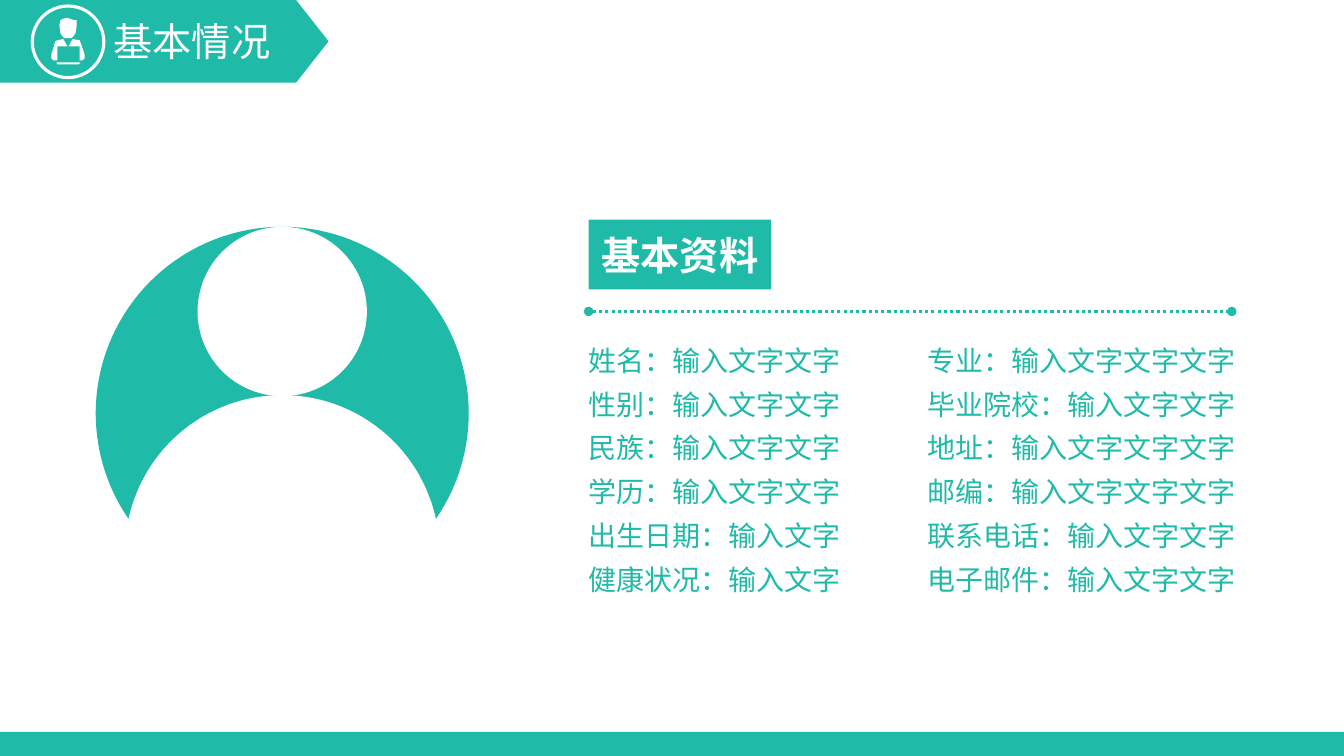
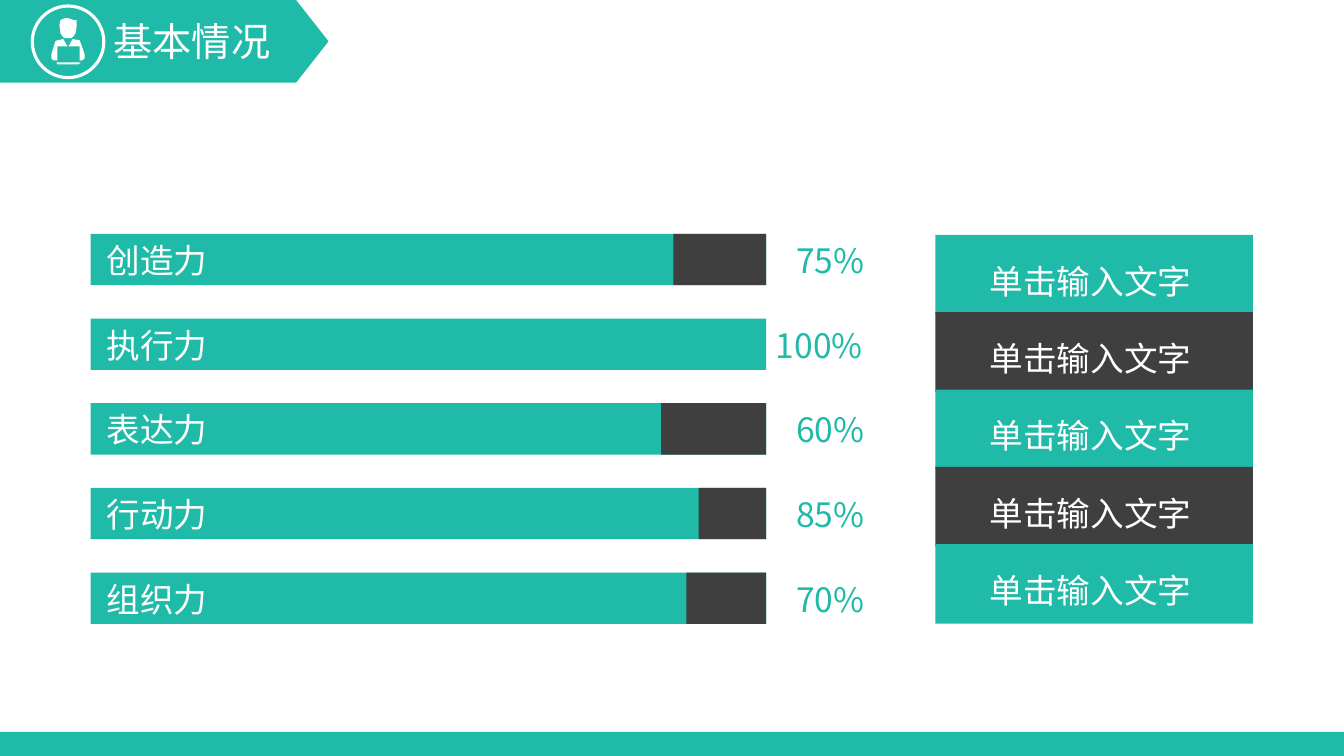
from math import cos, radians, sin

from lxml import etree
from pptx import Presentation
from pptx.dml.color import RGBColor
from pptx.enum.dml import MSO_LINE
from pptx.enum.shapes import MSO_CONNECTOR, MSO_SHAPE
from pptx.enum.text import MSO_ANCHOR, MSO_AUTO_SIZE, PP_ALIGN
from pptx.oxml.ns import qn
from pptx.util import Inches, Pt

RECT, OVAL, PENTAGON = MSO_SHAPE.RECTANGLE, MSO_SHAPE.OVAL, MSO_SHAPE.PENTAGON
LEFT, CENTER = PP_ALIGN.LEFT, PP_ALIGN.CENTER
TOP, MIDDLE = MSO_ANCHOR.TOP, MSO_ANCHOR.MIDDLE
FIT = MSO_AUTO_SIZE.SHAPE_TO_FIT_TEXT
TEAL, DARK, WHITE = "20BAA8", "3F3F3F", "FFFFFF"
FONT = "Noto Sans CJK SC"
W, H = 13.333, 7.5

ICON = [
    [(56, 62), (80, 62), (78, 64), (57, 64)],
    [(62, 39), (63, 39), (67, 46), (57, 46), (57, 60), (53, 60), (51, 58),
     (51, 54), (54, 44), (55, 41), (57, 40)],
    [(73, 39), (79, 40), (81, 45), (84, 54), (84, 58), (82, 60), (79, 60),
     (79, 46), (68, 46), (72, 39)],
    [(65, 18), (67, 18), (71, 19), (73, 20), (76, 20), (76, 27), (75, 33),
     (73, 36), (71, 38), (64, 38), (62, 36), (60, 33), (59, 25), (60, 20),
     (62, 19)],
]


def add(s, kind, x, y, w, h, fill=None):
    at = [Inches(v) for v in (x, y, w, h)]
    if kind is None:
        return s.shapes.add_textbox(*at)
    sp = s.shapes.add_shape(kind, *at)
    sp.shadow.inherit = False
    sp.line.fill.background()
    if fill:
        sp.fill.solid()
        sp.fill.fore_color.rgb = RGBColor.from_string(fill)
    else:
        sp.fill.background()
    return sp


def write(sp, text, size, color, align=LEFT, anchor=TOP, spacing=None, bold=False, wrap=False):
    tf = sp.text_frame
    tf.text = text
    tf.word_wrap = wrap
    tf.vertical_anchor = anchor
    if not wrap:
        tf.auto_size = FIT
    for p in tf.paragraphs:
        p.alignment = align
        p.line_spacing = spacing
        for r in p.runs:
            r.font.size = Pt(size)
            r.font.bold = bold
            r.font.color.rgb = RGBColor.from_string(color)
            r.font.name = FONT
            etree.SubElement(r.font._element, qn("a:ea"), typeface=FONT)


prs = Presentation()
prs.slide_width, prs.slide_height = Inches(W), Inches(H)
profile, skills = [prs.slides.add_slide(prs.slide_layouts[6]) for _ in range(2)]
white_outlines = []

for s in (profile, skills):
    banner = add(s, PENTAGON, 0, 0, 3.26, 0.82, TEAL)
    banner.adjustments[0] = 0.393
    add(s, RECT, 0, H - 0.24, W, 0.24, TEAL)
    ring = add(s, OVAL, 0.32, 0.06, 0.71, 0.71)
    ring.line.color.rgb = RGBColor.from_string(WHITE)
    ring.line.width = Pt(2.25)
    fb = s.shapes.build_freeform(*ICON[0][0], scale=Inches(0.01))
    fb.add_line_segments(ICON[0][1:])
    for outline in ICON[1:]:
        fb.move_to(*outline[0])
        fb.add_line_segments(outline[1:])
    white_outlines.append(fb.convert_to_shape())
    write(add(s, None, 1.03, 0.12, 1.77, 0.57), "基本情况", 28, WHITE)

s = profile
badge = add(s, RECT, 5.84, 2.18, 1.81, 0.69, TEAL)
write(badge, "基本资料", 28, WHITE, CENTER, MIDDLE, bold=True, wrap=True)
badge.text_frame.margin_left = badge.text_frame.margin_right = 0

rule = s.shapes.add_connector(MSO_CONNECTOR.STRAIGHT, Inches(5.84), Inches(3.09), Inches(12.22), Inches(3.09))
rule.line.color.rgb = RGBColor.from_string(TEAL)
rule.line.width = Pt(2.25)
rule.line.dash_style = MSO_LINE.ROUND_DOT
ln = rule.line._get_or_add_ln()
for end in ("a:headEnd", "a:tailEnd"):
    etree.SubElement(ln, qn(end), type="oval")
etree.SubElement(rule._element.spPr, qn("a:effectLst"))

COLUMNS = [
    (5.74, 2.73, ["姓名：输入文字文字", "性别：输入文字文字", "民族：输入文字文字",
                  "学历：输入文字文字", "出生日期：输入文字", "健康状况：输入文字"]),
    (9.1, 3.29, ["专业：输入文字文字文字", "毕业院校：输入文字文字", "地址：输入文字文字文字",
                 "邮编：输入文字文字文字", "联系电话：输入文字文字", "电子邮件：输入文字文字"]),
]
for x, w, lines in COLUMNS:
    write(add(s, None, x, 3.26, w, 2.73), "\n".join(lines), 20, TEAL, spacing=1.3)

cx, cy, radius = 2.8, 4.1, 1.85
add(s, OVAL, cx - radius, cy - radius, 2 * radius, 2 * radius, TEAL)
ARCS = [(5.48, 1.56, range(-168, -11, 2)), (cy, radius + 0.01, range(35, 146, 2))]
points = [(1000 * (cx + r * cos(radians(a))), 1000 * (y + r * sin(radians(a))))
          for y, r, angles in ARCS for a in angles]
fb = s.shapes.build_freeform(*points[0], scale=Inches(1) / 1000)
fb.add_line_segments(points[1:])
white_outlines.append(fb.convert_to_shape())
add(s, OVAL, cx - 0.84, cy - radius, 1.68, 1.68, WHITE)

for sp in white_outlines:
    sp.shadow.inherit = False
    sp.fill.solid()
    sp.fill.fore_color.rgb = RGBColor.from_string(WHITE)
    sp.line.fill.background()

s = skills
for i in range(5):
    cell = add(s, RECT, 9.28, 2.33 + 0.767 * i, 3.15, 0.79, DARK if i % 2 else TEAL)
    write(cell, "单击输入文字 ", 24, WHITE, CENTER, MIDDLE, 1.3, wrap=True)

SKILLS = [("创造力", "75%", 0.92), ("执行力", "100%", 0), ("表达力", "60%", 1.04),
          ("行动力", "85%", 0.67), ("组织力", "70%", 0.79)]
for i, (name, share, rest) in enumerate(SKILLS):
    y = 2.32 + 0.84 * i
    add(s, RECT, 0.9, y, 6.7, 0.51, TEAL)
    if rest:
        add(s, RECT, 7.6 - rest, y, rest, 0.51, DARK)
    write(add(s, None, 0.96, y + 0.01, 1.21, 0.5), name, 24, WHITE, anchor=MIDDLE)
    w = 0.9 if rest else 1.1
    write(add(s, None, 8.7 - w, y + 0.01, w, 0.5), share, 24, TEAL)

prs.save("out.pptx")
